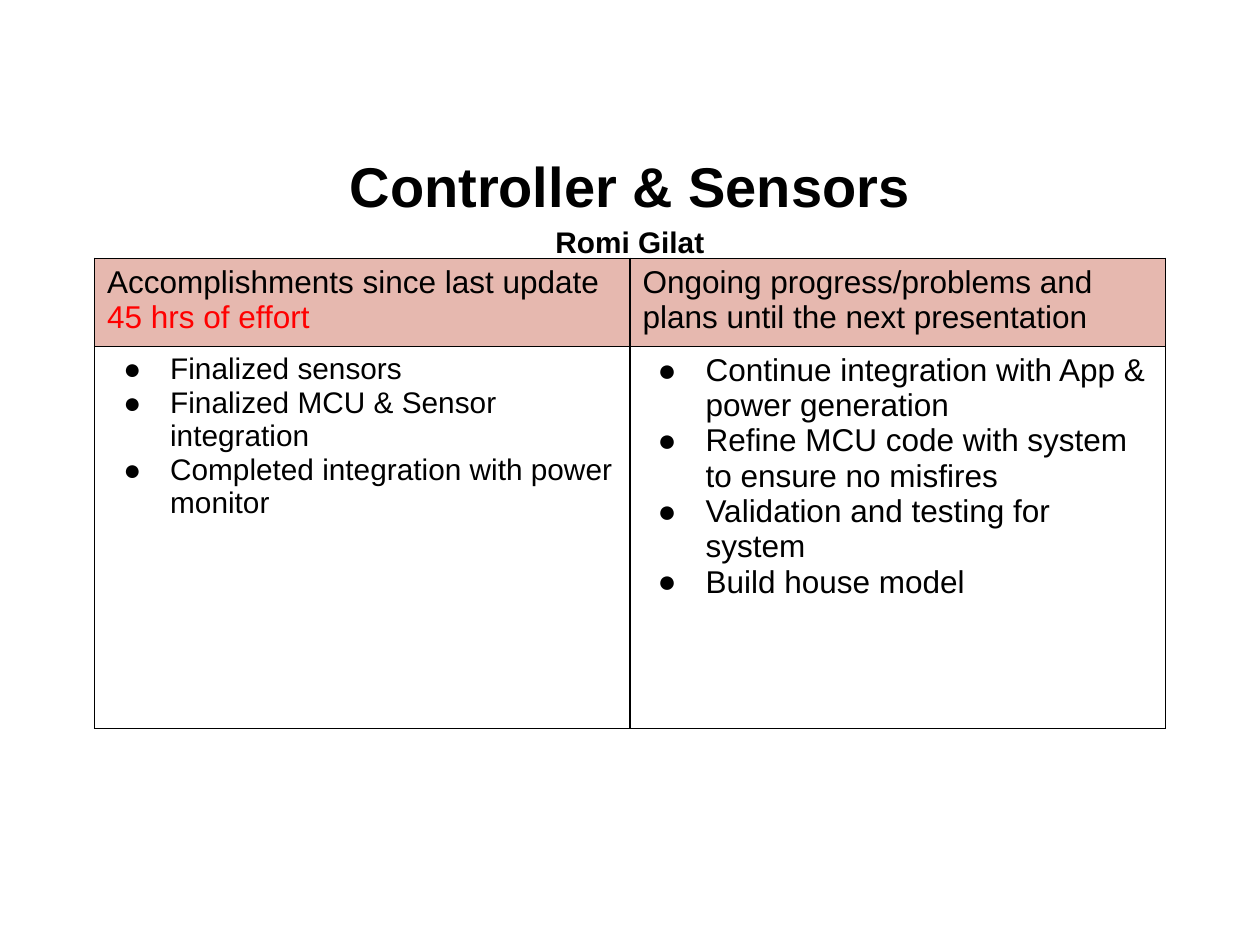
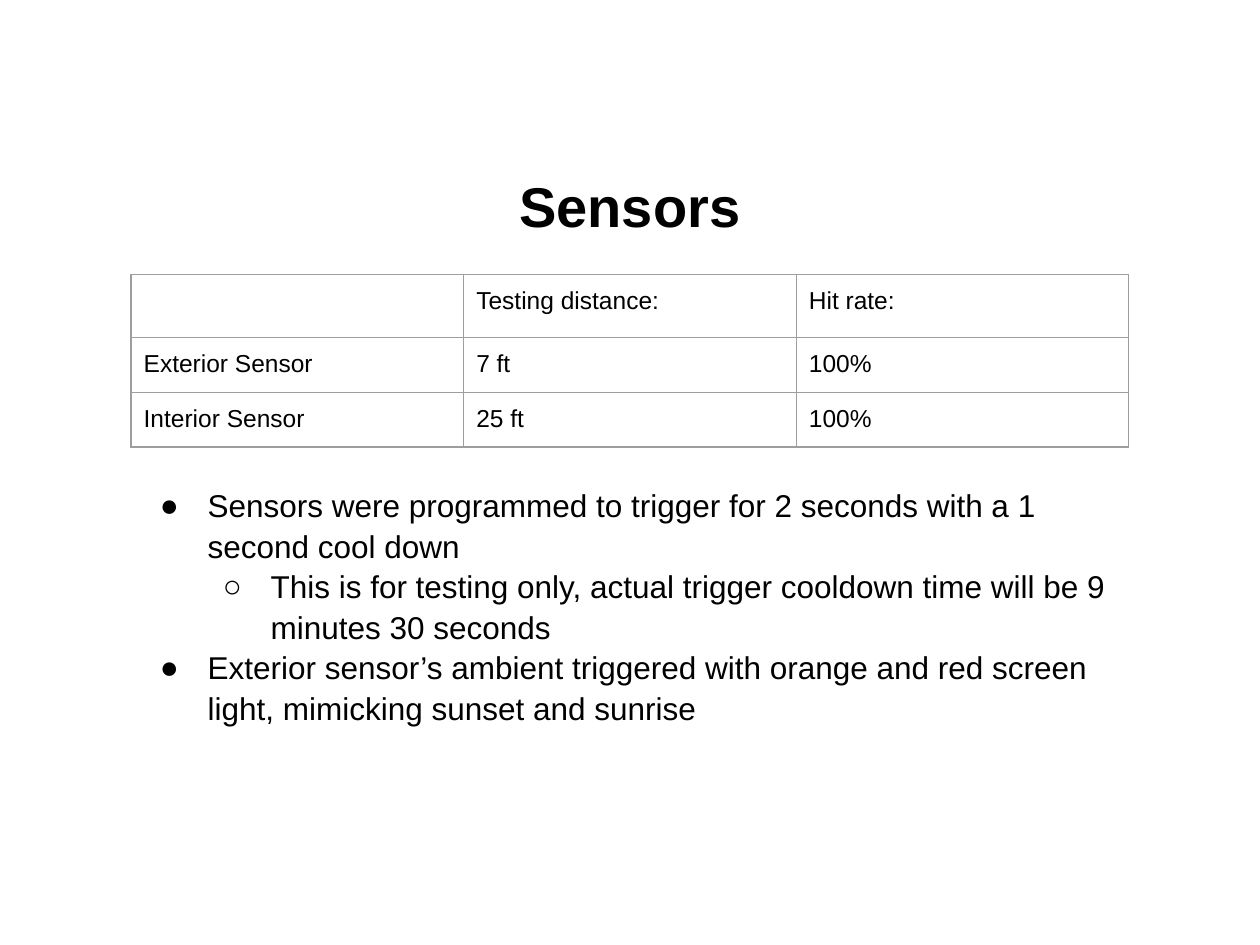
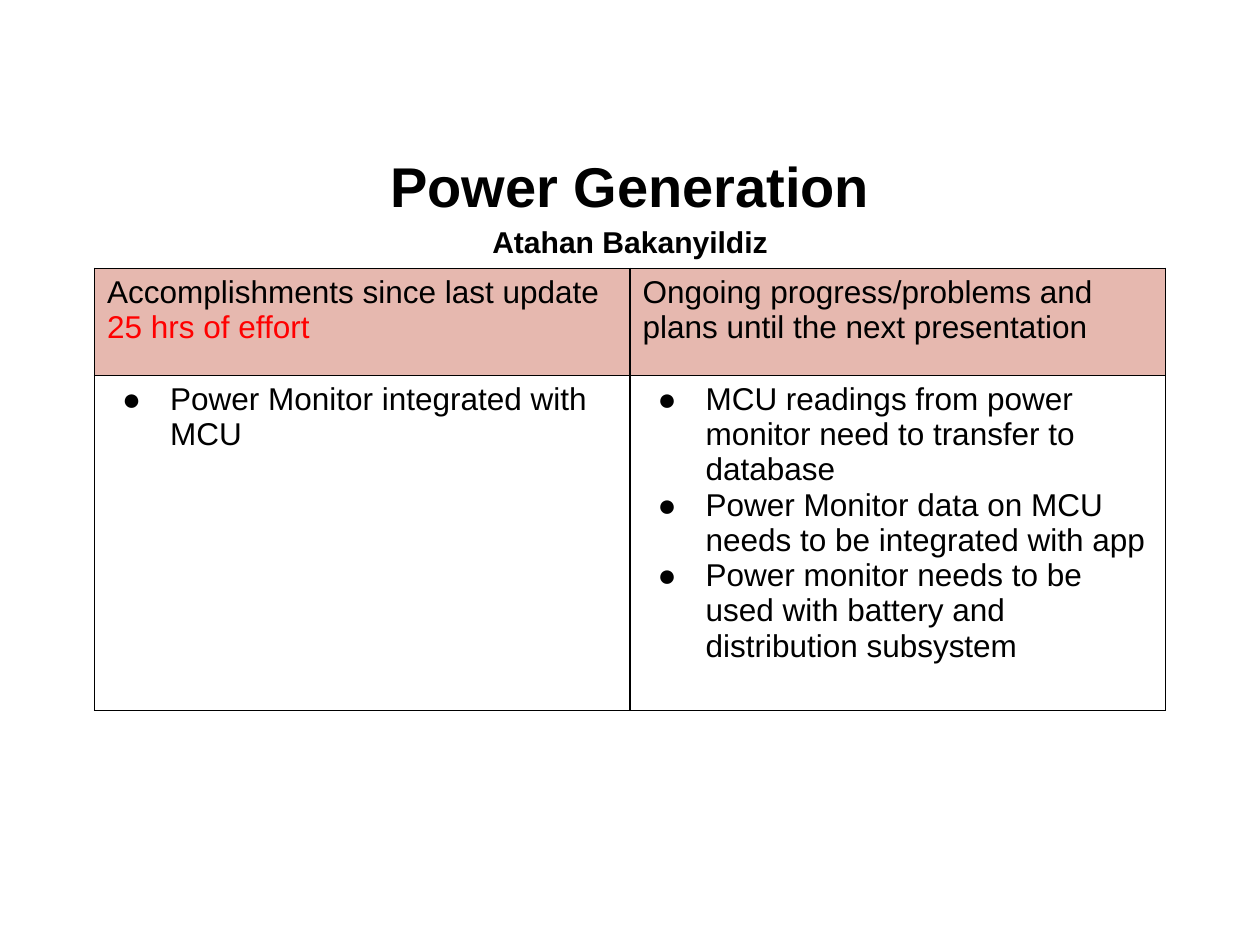
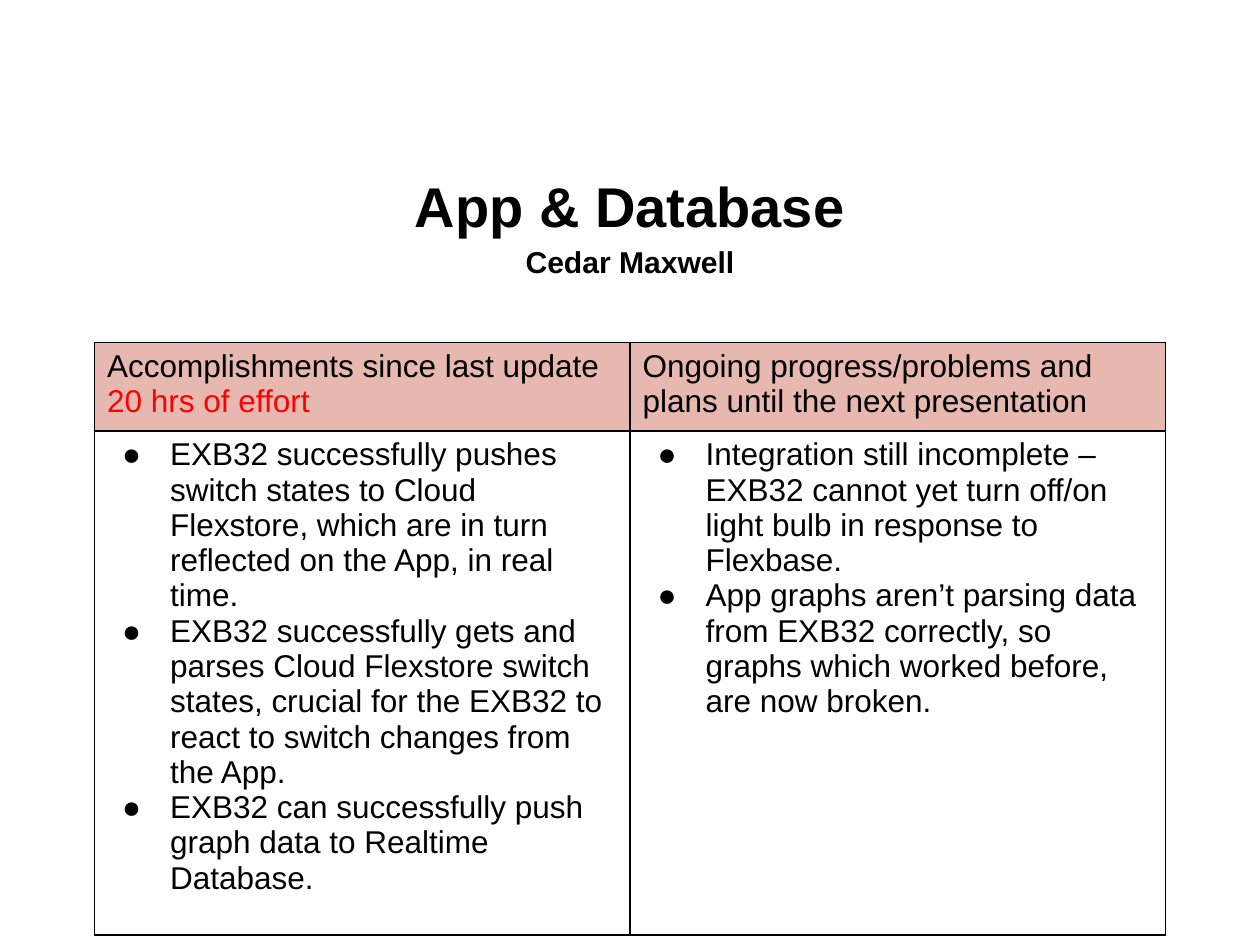
from pptx import Presentation
from pptx.dml.color import RGBColor
from pptx.enum.text import MSO_ANCHOR, PP_ALIGN
from pptx.oxml.ns import qn
from pptx.util import Inches, Pt
from lxml import etree

CENTER = PP_ALIGN.CENTER
MIDDLE = MSO_ANCHOR.MIDDLE

BLACK = RGBColor(0x00, 0x00, 0x00)
RED = RGBColor(0xFF, 0x00, 0x00)
WHITE = RGBColor(0xFF, 0xFF, 0xFF)
GREY = RGBColor(0x9E, 0x9E, 0x9E)
PINK = RGBColor(0xE6, 0xB8, 0xAF)

FONT = "Arial"
BULLETS = ("●", "○")
BODY_SIZE = 18
TITLE_BOX = (0.5, 1.15, 9, 0.88)
COLUMN_WIDTH = 4.25
UPDATE_LEFT = 0.75
PLANS_HEADING = "Ongoing progress/problems and plans until the next presentation"

UPDATES = {
    "sensors": dict(
        title="Controller & Sensors", person="Romi Gilat", person_size=17,
        title_top=1.15, table_top=2.05, row_heights=(0.7, 3.03),
        hours=45, done_size=17,
        done=["Finalized sensors",
              "Finalized MCU & Sensor integration",
              "Completed integration with power monitor"],
        plans=["Continue integration with App & power generation",
               "Refine MCU code with system to ensure no misfires",
               "Validation and testing for system",
               "Build house model"]),
    "power": dict(
        title="Power Generation", person="Atahan Bakanyildiz", person_size=17.2,
        title_top=1.15, table_top=2.13, row_heights=(0.85, 2.66),
        hours=25, done_size=BODY_SIZE,
        done=["Power Monitor integrated with MCU"],
        plans=["MCU readings from power monitor need to transfer to database",
               "Power Monitor data on MCU needs to be integrated with app",
               "Power monitor needs to be used with battery and distribution subsystem"]),
    "app": dict(
        title="App & Database", person="Cedar Maxwell", person_size=17.2,
        title_top=1.31, table_top=2.72, row_heights=(0.7, 3.73),
        hours=20, done_size=BODY_SIZE,
        done=["EXB32 successfully pushes switch states to Cloud Flexstore, "
              "which are in turn reflected on the App, in real time.",
              "EXB32 successfully gets and parses Cloud Flexstore switch states, "
              "crucial for the EXB32 to react to switch changes from the App.",
              "EXB32 can successfully push graph data to Realtime Database."],
        plans=["Integration still incomplete – EXB32 cannot yet turn off/on "
               "light bulb in response to Flexbase.",
               "App graphs aren’t parsing data from EXB32 correctly, so graphs "
               "which worked before, are now broken."]),
}

SENSOR_TESTS = [
    ("", "Testing distance:", "Hit rate:"),
    ("Exterior Sensor", "7 ft", "100%"),
    ("Interior Sensor", "25 ft", "100%"),
]
SENSOR_NOTES = [
    (0, "Sensors were programmed to trigger for 2 seconds with a 1 second cool down"),
    (1, "This is for testing only, actual trigger cooldown time will be 9 minutes 30 seconds"),
    (0, "Exterior sensor’s ambient triggered with orange and red screen light, "
        "mimicking sunset and sunrise"),
]


def set_format(target, values):
    for name, value in values.items():
        setattr(target, name, value)


def set_margins(holder, side, end):
    set_format(holder, dict(margin_left=Inches(side), margin_right=Inches(side),
                            margin_top=Inches(end), margin_bottom=Inches(end)))


def add_bullet(para, level, hanging):
    para.level = level
    props = para._p.get_or_add_pPr()
    props.set("marL", str(Inches(0.5 * (level + 1))))
    props.set("indent", str(-Inches(hanging)))
    colour = etree.SubElement(props, qn("a:buClr"))
    etree.SubElement(colour, qn("a:srgbClr"), val=str(BLACK))
    etree.SubElement(props, qn("a:buFont"), typeface=FONT)
    etree.SubElement(props, qn("a:buChar"), char=BULLETS[level])


def write_lines(frame, lines):
    """Fill a frame with one paragraph for each (text, size, colour, bold)."""
    for index, (text, size, colour, bold) in enumerate(lines):
        para = frame.add_paragraph() if index else frame.paragraphs[0]
        span = para.add_run()
        span.text = text
        set_format(span.font, dict(name=FONT, size=Pt(size), bold=bold))
        span.font.color.rgb = colour
    return frame.paragraphs


def write_bullets(frame, items, size, hanging):
    lines = [(text, size, BLACK, False) for _, text in items]
    paras = write_lines(frame, lines)
    for para, (level, _) in zip(paras, items):
        add_bullet(para, level, hanging)
    return paras


def add_text_box(page, box):
    frame = page.shapes.add_textbox(*map(Inches, box)).text_frame
    frame.word_wrap = True
    return frame


def add_title(page, box, title, person=None, person_size=17):
    frame = add_text_box(page, box)
    frame.vertical_anchor = MIDDLE
    set_margins(frame, 0.1, 0.05)
    lines = [(title, 32, BLACK, True)]
    if person:
        lines.append((person, person_size, BLACK, True))
    for para in write_lines(frame, lines):
        set_format(para, dict(alignment=CENTER, line_spacing=1.15))


def add_borders(cell, colour, width):
    props = cell._tc.get_or_add_tcPr()
    for side in ("lnL", "lnR", "lnT", "lnB"):
        line = etree.SubElement(props, qn("a:" + side), w=str(Pt(width)))
        fill = etree.SubElement(line, qn("a:solidFill"))
        etree.SubElement(fill, qn("a:srgbClr"), val=str(colour))


def add_grid(page, left, top, widths, heights, border, end_margin):
    """Add a plain table with the same border round every cell."""
    table = page.shapes.add_table(
        len(heights), len(widths), Inches(left), Inches(top),
        Inches(sum(widths)), Inches(sum(heights))).table
    set_format(table, dict(first_row=False, horz_banding=False))
    for column, width in zip(table.columns, widths):
        column.width = Inches(width)
    for row, height in zip(table.rows, heights):
        row.height = Inches(height)
    for cell in table.iter_cells():
        set_margins(cell, 0.1, end_margin)
        add_borders(cell, *border)
        cell.fill.background()
    return table


def add_update_table(page, left, top, update):
    table = add_grid(page, left, top, (COLUMN_WIDTH,) * 2, update["row_heights"],
                     (BLACK, 1), 0.05)
    headings = (
        [("Accomplishments since last update", BODY_SIZE, BLACK, False),
         (f"{update['hours']} hrs of effort", BODY_SIZE, RED, False)],
        [(PLANS_HEADING, BODY_SIZE, BLACK, False)],
    )
    bodies = ((update["done"], update["done_size"]), (update["plans"], BODY_SIZE))
    for column, (heading, (items, size)) in enumerate(zip(headings, bodies)):
        head = table.cell(0, column)
        head.fill.solid()
        head.fill.fore_color.rgb = PINK
        write_lines(head.text_frame, heading)
        hanging = 0.38 if size == BODY_SIZE else 0.37
        write_bullets(table.cell(1, column).text_frame,
                      [(0, item) for item in items], size, hanging)


def add_test_table(page, left, top):
    table = add_grid(page, left, top, (2.64,) * 3, (0.46, 0.42, 0.42),
                     (GREY, 0.75), 0.1)
    for row, texts in enumerate(SENSOR_TESTS):
        for column, text in enumerate(texts):
            if text:
                write_lines(table.cell(row, column).text_frame,
                            [(text, 14, BLACK, False)])


def add_notes_list(page, box):
    frame = add_text_box(page, box)
    set_margins(frame, 0.1, 0.1)
    for para in write_bullets(frame, SENSOR_NOTES, BODY_SIZE, 0.38):
        para.line_spacing = 1.07


def add_page(deck):
    page = deck.slides.add_slide(deck.slide_layouts[6])
    page.background.fill.solid()
    page.background.fill.fore_color.rgb = WHITE
    return page


def build_update_page(deck, update):
    page = add_page(deck)
    left, _, width, height = TITLE_BOX
    add_title(page, (left, update["title_top"], width, height),
              update["title"], update["person"], update["person_size"])
    add_update_table(page, UPDATE_LEFT, update["table_top"], update)


def build_sensor_page(deck):
    page = add_page(deck)
    add_title(page, TITLE_BOX, "Sensors")
    add_test_table(page, 1.04, 2.18)
    add_notes_list(page, (1.05, 3.74, 7.93, 2.45))


def main():
    deck = Presentation()
    set_format(deck, dict(slide_width=Inches(10), slide_height=Inches(7.5)))
    build_update_page(deck, UPDATES["sensors"])
    build_sensor_page(deck)
    build_update_page(deck, UPDATES["power"])
    build_update_page(deck, UPDATES["app"])
    deck.save("out.pptx")


if __name__ == "__main__":
    main()
